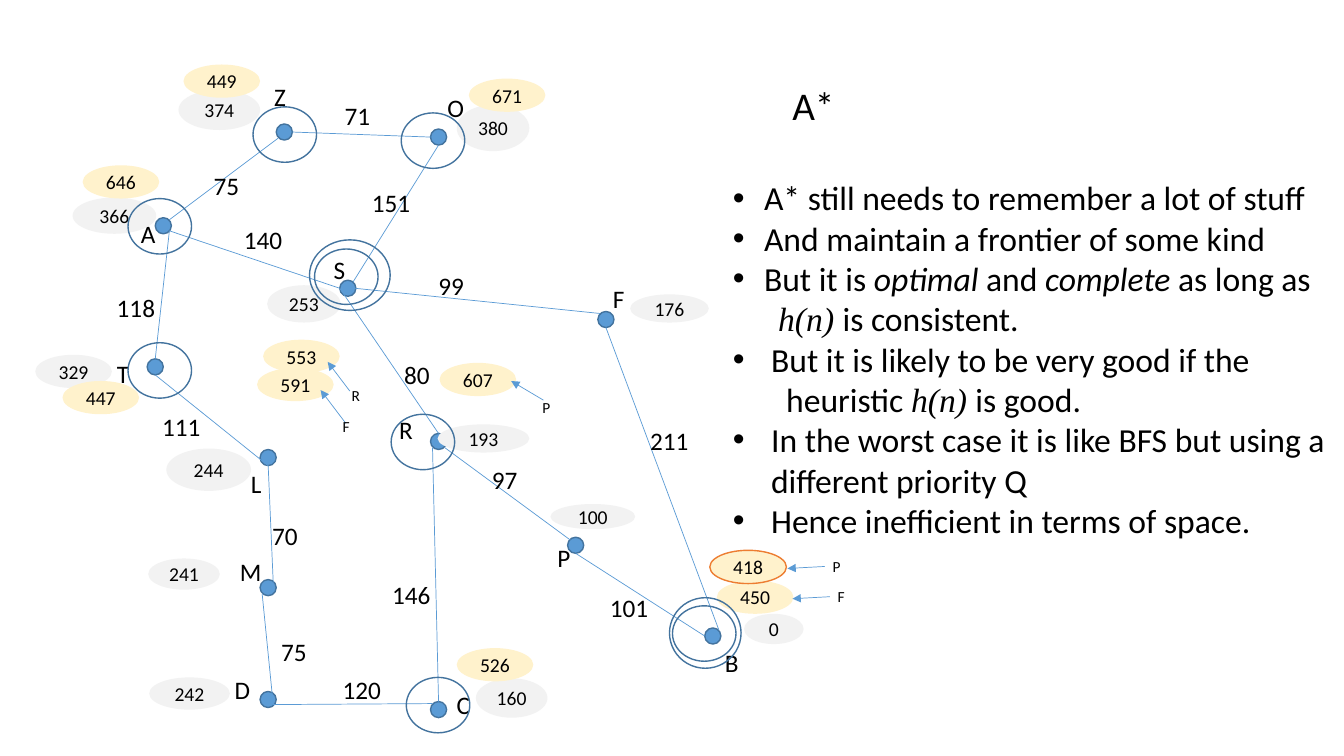
import pptx
import pptx.dml.color
import pptx.enum.shapes
import pptx.enum.text
import pptx.oxml.ns
import pptx.util
from lxml import etree

Inches, Pt = pptx.util.Inches, pptx.util.Pt
HUE = {"dot": "5B9BD5", "edge": "43739E", "grey": "F2F2F2",
       "gold": "FFF2CC", "best": "ED7D31", "ink": "000000"}
FONT, MATH = "Calibri", "Times New Roman"

# name: dot left, top; label left, top, width
NODES = {
    "A": (1.54, 2.16, 1.3, 2.12, 0.35), "Z": (2.74, 1.23, 2.62, 0.76, 0.32),
    "O": (4.27, 1.28, 4.34, 0.87, 0.37), "S": (3.37, 2.78, 3.21, 2.47, 0.32),
    "L": (2.58, 4.46, 2.39, 4.6, 0.31), "T": (1.46, 3.56, 1.06, 3.51, 0.32),
    "D": (2.58, 6.86, 2.23, 6.64, 0.36), "M": (2.58, 5.75, 2.28, 5.47, 0.42),
    "P": (5.63, 5.33, 5.43, 5.33, 0.33), "R": (4.27, 4.3, 3.86, 4.06, 0.34),
    "C": (4.27, 6.96, 4.43, 6.79, 0.34), "F": (5.93, 3.09, 5.98, 2.76, 0.32),
    "B": (6.99, 6.23, 7.09, 6.37, 0.34)}
# start, end, cost, cost left and top
EDGES = [
    ((1.68, 2.18), (2.76, 1.37), "75", 2.02, 1.64),
    ((2.9, 1.31), (4.27, 1.36), "71", 3.32, 0.95),
    ((4.35, 1.44), (3.5, 2.8), "151", 3.59, 1.81),
    ((1.68, 2.29), (3.37, 2.86), "140", 2.32, 2.18),
    ((1.68, 2.29), (1.54, 3.56), "118", 1.06, 2.85),
    ((1.54, 3.72), (2.66, 4.62), "111", 1.51, 4.03),
    ((2.66, 4.62), (2.71, 5.78), "70", 2.6, 5.11),
    ((2.6, 5.89), (2.71, 6.99), "75", 2.69, 6.26),
    ((3.52, 2.86), (5.95, 3.11), "99", 4.25, 2.63),
    ((3.37, 2.86), (4.35, 4.3), "80", 3.91, 3.52),
    ((2.71, 6.99), (4.29, 6.98), "120", 3.3, 6.64),
    ((4.29, 4.44), (4.35, 6.96), "146", 3.79, 5.7),
    ((4.41, 4.44), (5.66, 5.36), "97", 4.78, 4.56),
    ((6.01, 3.25), (7.13, 6.25), "211", 6.35, 4.17),
    ((5.71, 5.49), (6.99, 6.31), "101", 5.95, 5.83)]
# heuristic values: text, left, top, width, height
GUESS = [
    ("366", 0.72, 1.96, 0.83, 0.36), ("374", 1.77, 0.89, 0.81, 0.4),
    ("253", 2.65, 2.83, 0.73, 0.37), ("380", 4.53, 1.04, 0.72, 0.46),
    ("329", 0.35, 3.52, 0.76, 0.33), ("244", 1.65, 4.45, 0.84, 0.42),
    ("241", 1.47, 5.54, 0.71, 0.31), ("242", 1.48, 6.72, 0.8, 0.32),
    ("160", 4.72, 6.73, 0.71, 0.39), ("193", 4.34, 4.21, 0.91, 0.28),
    ("176", 6.25, 2.92, 0.78, 0.28), ("100", 5.46, 5, 0.84, 0.25),
    ("0", 7.38, 6.09, 0.59, 0.3)]
# total costs: text, left, top
TOTAL = [
    ("447", 0.62, 3.78), ("449", 1.82, 0.64), ("671", 4.65, 0.78),
    ("646", 0.82, 1.64), ("553", 2.61, 3.37), ("526", 4.53, 6.43),
    ("450", 7.11, 5.76), ("591", 2.55, 3.65), ("607", 4.36, 3.6),
    ("418", 7.04, 5.46)]
RINGS = [(3.98, 1.12), (1.27, 1.97), (2.51, 1.06), (1.27, 3.4),
         (3.12, 2.47), (4.03, 6.72), (3.88, 4.11), (6.67, 6.01)]
GOALS = [(3.07, 2.38, 0.8, 0.7), (6.64, 5.93, 0.71, 0.7)]
# parent pointers: start, end, name, name left, top, width
LINKS = [
    ((3.47, 3.88), (3.25, 3.59), "R", 3.39, 3.78, 0.22),
    ((3.43, 4.2), (3.18, 3.87), "F", 3.3, 4.09, 0.22),
    ((5.39, 3.97), (5.07, 3.78), "P", 5.28, 3.9, 0.22),
    ((8.18, 5.62), (7.81, 5.64), "P", 8.16, 5.48, 0.28),
    ((8.23, 5.92), (7.86, 5.94), "F", 8.21, 5.78, 0.28)]
# left margin, hanging indent, runs of (text, font, italic)
NOTES = [
    (0.31, 0.31, [("A* still needs to remember a lot of stuff", FONT, False)]),
    (0.31, 0.31, [("And maintain a frontier of some kind", FONT, False)]),
    (0.31, 0.31, [("But it is ", FONT, False), ("optimal", FONT, True),
                  (" and ", FONT, False), ("complete", FONT, True),
                  (" as long as", FONT, False)]),
    (0.45, 0, [("h(n) ", MATH, True), ("is consistent.", FONT, False)]),
    (0.38, 0.38, [("But it is likely to be very good if the ", FONT, False)]),
    (0.53, 0, [("heuristic ", FONT, False), ("h(n) ", MATH, True),
               ("is good.", FONT, False)]),
    (0.38, 0.38, [("In the worst case it is like BFS but using a "
                   "different priority Q", FONT, False)]),
    (0.38, 0.38, [("Hence inefficient in terms of space.", FONT, False)])]


def tint(name):
    """Return a named colour."""
    return pptx.dml.color.RGBColor.from_string(HUE[name])


def add_run(para, text, size, font=FONT, slant=False):
    """Add one styled run to a paragraph."""
    run = para.add_run()
    run.text = text
    run.font.size, run.font.name, run.font.italic = Pt(size), font, slant
    run.font.color.rgb = tint("ink")


def add_label(slide, box, text, size):
    """Place a one-line text and return nothing."""
    frame = slide.shapes.add_textbox(*map(Inches, box)).text_frame
    frame.word_wrap = True
    add_run(frame.paragraphs[0], text, size)


def add_oval(slide, box, fill=None, line=None, text=""):
    """Place an ellipse, with a centred value if given."""
    kind = pptx.enum.shapes.MSO_SHAPE.OVAL
    oval = slide.shapes.add_shape(kind, *map(Inches, box))
    oval.shadow.inherit = False
    if fill:
        oval.fill.solid()
        oval.fill.fore_color.rgb = tint(fill)
    else:
        oval.fill.background()
    if line:
        oval.line.color.rgb = tint(line)
        oval.line.width = Pt(1)
    else:
        oval.line.fill.background()
    if text:
        frame = oval.text_frame
        frame.word_wrap = False
        frame.vertical_anchor = pptx.enum.text.MSO_ANCHOR.MIDDLE
        frame.paragraphs[0].alignment = pptx.enum.text.PP_ALIGN.CENTER
        add_run(frame.paragraphs[0], text, 14)


def add_line(slide, start, end, arrow=False):
    """Draw a thin line, with an arrowhead at its end if asked."""
    kind = pptx.enum.shapes.MSO_CONNECTOR.STRAIGHT
    line = slide.shapes.add_connector(kind, *map(Inches, (*start, *end)))
    line.line.color.rgb = tint("dot")
    line.line.width = Pt(0.5)
    qn = pptx.oxml.ns.qn
    if arrow:
        etree.SubElement(line.line._get_or_add_ln(), qn("a:tailEnd"), type="triangle")
    etree.SubElement(line._element.spPr, qn("a:effectLst"))


def add_graph(slide, box):
    """Draw the search graph in its box."""
    left, top = box[:2]

    def move(x, y, *size):
        """Shift a place into the box."""
        return (left + x, top + y, *size)

    for x, y, *_ in NODES.values():
        add_oval(slide, move(x, y, 0.16, 0.16), "dot", "edge")
    for start, end, *_ in EDGES:
        add_line(slide, move(*start), move(*end))
    for name, (_, _, x, y, wide) in NODES.items():
        add_label(slide, move(x, y, wide, 0.4), name, 18)
    for _, _, cost, x, y in EDGES:
        add_label(slide, move(x, y, 0.64, 0.4), cost, 18)
    for text, *place in GUESS:
        add_oval(slide, move(*place), "grey", text=text)
    for text, x, y in TOTAL:
        line = "best" if text == "418" else None
        add_oval(slide, move(x, y, 0.76, 0.33), "gold", line, text)
    for ring in [(*spot, 0.63, 0.55) for spot in RINGS] + GOALS:
        add_oval(slide, move(*ring), line="edge")
    for start, end, name, x, y, wide in LINKS:
        add_line(slide, move(*start), move(*end), arrow=True)
        add_label(slide, move(x, y, wide, 0.29), name, 11)


def add_notes(slide, box):
    """Write the heading and the bullet list in their box."""
    left, top, wide, high = box
    add_label(slide, (left + 0.59, top, 0.7, 0.57), "A*", 28)
    place = (left, top + 0.95, wide, high - 0.95)
    frame = slide.shapes.add_textbox(*map(Inches, place)).text_frame
    frame.word_wrap = True
    for spot, (margin, hang, runs) in enumerate(NOTES):
        para = frame.add_paragraph() if spot else frame.paragraphs[0]
        props = para._p.get_or_add_pPr()
        props.set("marL", str(Inches(margin)))
        props.set("indent", str(-Inches(hang)))
        if hang:
            qn = pptx.oxml.ns.qn
            etree.SubElement(props, qn("a:buFont"), typeface="Arial")
            etree.SubElement(props, qn("a:buChar"), char="•")
        for text, font, slant in runs:
            add_run(para, text, 24, font, slant)


deck = pptx.Presentation()
deck.slide_width, deck.slide_height = Inches(13.33), Inches(7.5)
page = deck.slides.add_slide(deck.slide_layouts[6])
add_graph(page, (0, 0, 8.5, 7.5))
add_notes(page, (7.17, 0.76, 6.16, 5.49))
deck.save("out.pptx")
